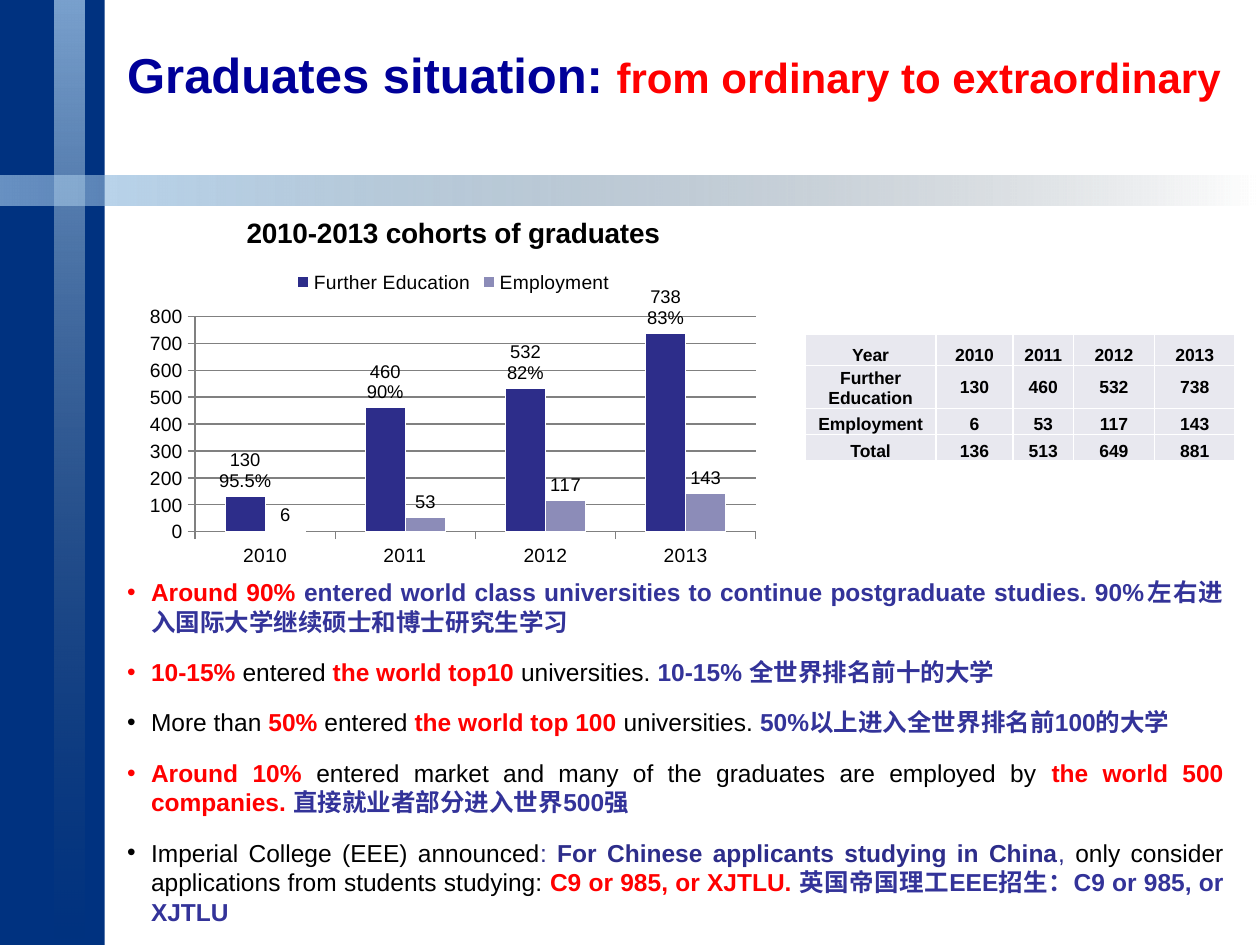
import pptx
import pptx.chart.data
import pptx.dml.color
import pptx.enum.chart
import pptx.enum.shapes
import pptx.enum.text
import pptx.oxml
import pptx.oxml.ns
import pptx.util
from pptx.util import Cm, Pt

RGB = pptx.dml.color.RGBColor
NAVY = RGB(0x00, 0x32, 0x80)
SKY = RGB(0xAE, 0xD1, 0xEF)
SLATE = RGB(0x51, 0x61, 0x6F)
TITLE_BLUE = RGB(0x00, 0x00, 0x99)
RED = RGB(0xFF, 0x00, 0x00)
BLACK = RGB(0x00, 0x00, 0x00)
WHITE = RGB(0xFF, 0xFF, 0xFF)
GREY = RGB(0x80, 0x80, 0x80)
INDIGO = RGB(0x33, 0x33, 0x99)
DEEP_INDIGO = RGB(0x2D, 0x2D, 0x8A)
LAVENDER = RGB(0x8C, 0x8C, 0xB8)
CELL_GREY = RGB(0xE8, 0xE8, 0xEF)

ANCHOR = pptx.enum.text.MSO_ANCHOR
ALIGN = pptx.enum.text.PP_ALIGN
TEXT_FRAME = {"word_wrap": True, "auto_size": pptx.enum.text.MSO_AUTO_SIZE.NONE,
              "vertical_anchor": ANCHOR.TOP}

YEARS = ["2010", "2011", "2012", "2013"]
FURTHER = [130, 460, 532, 738]
EMPLOYED = [6, 53, 117, 143]
SHARES = ["95.5%", "90%", "82%", "83%"]

FINDINGS = [
    [("Around 90% ", RED, True),
     ("entered world class universities to continue postgraduate studies. "
      "90%左右进入国际大学继续硕士和博士研究生学习", INDIGO, True)],
    [("10-15% ", RED, True), ("entered ", BLACK, False),
     ("the world top10 ", RED, True), ("universities. ", BLACK, False),
     ("10-15% 全世界排名前十的大学", INDIGO, True)],
    [("More than ", BLACK, False), ("50% ", RED, True), ("entered ", BLACK, False),
     ("the world top 100 ", RED, True), ("universities. ", BLACK, False),
     ("50%以上进入全世界排名前100的大学", INDIGO, True)],
    [("Around 10% ", RED, True),
     ("entered market and many of the graduates are employed by ", BLACK, False),
     ("the world 500 companies. ", RED, True),
     ("直接就业者部分进入世界500强", INDIGO, True)],
    [("Imperial College (EEE) announced", BLACK, False), (": ", DEEP_INDIGO, False),
     ("For Chinese applicants studying in China", DEEP_INDIGO, True),
     (", ", DEEP_INDIGO, False),
     ("only consider applications from students studying: ", BLACK, False),
     ("C9 or 985, or XJTLU. ", RED, True),
     ("英国帝国理工EEE招生：C9 or 985, or XJTLU", INDIGO, True)],
]


def assign(target, values):
    for name, value in values.items():
        setattr(target, name, value)


def set_font(font, size, color=BLACK, bold=False):
    assign(font, {"name": "Arial", "size": Pt(size), "bold": bold})
    font.color.rgb = color


def place(shape, box):
    assign(shape, dict(zip(("left", "top", "width", "height"), map(Cm, box))))


def add_runs(paragraph, runs):
    for text, size, color, bold in runs:
        run = paragraph.add_run()
        run.text = text
        set_font(run.font, size, color, bold)


def add_block(slide, box, color):
    block = slide.shapes.add_shape(
        pptx.enum.shapes.MSO_SHAPE.RECTANGLE, *map(Cm, box))
    block.shadow.inherit = False
    block.line.fill.background()
    block.fill.solid()
    block.fill.fore_color.rgb = color
    return block


def add_band(slide, box, opacity, rotation=0):
    """Bar that fades out from its top end."""
    band = add_block(slide, box, SKY)
    band.rotation = rotation
    band.fill.gradient()
    band.fill.gradient_angle = 270
    fades = [(SKY, opacity), (SLATE, 0)]
    for stop, position, (color, alpha) in zip(band.fill.gradient_stops, (0, 1), fades):
        stop.position = position
        stop.color.rgb = color
    colors = band.element.spPr.iter(pptx.oxml.ns.qn("a:srgbClr"))
    for color, (_, alpha) in zip(list(colors), fades):
        color.append(pptx.oxml.parse_xml(
            f'<a:alpha {pptx.oxml.ns.nsdecls("a")} val="{alpha * 1000}"/>'))


def add_backdrop(slide, box):
    left, top, width, height = box
    thick = 0.61
    vertical = (left + 1.09, top, thick, height)
    # The horizontal band is an upright bar turned about its centre.
    horizontal = (left + (width - thick) / 2, top + 3.84 - width / 2, thick, width)
    add_band(slide, horizontal, 60, 270)
    add_block(slide, (left, top, 2.11, height), NAVY)
    add_band(slide, vertical, 70)
    add_band(slide, horizontal, 60, 270)


def fill_title(title, box):
    place(title, box)
    assign(title.text_frame, {**TEXT_FRAME, "margin_top": Cm(0.25)})
    paragraph = title.text_frame.paragraphs[0]
    paragraph.alignment = ALIGN.LEFT
    add_runs(paragraph, [("Graduates situation: ", 28, TITLE_BLUE, True),
                         ("from ordinary to extraordinary", 24, RED, True)])


def fill_findings(body, box):
    place(body, box)
    frame = body.text_frame
    assign(frame, TEXT_FRAME)
    for index, runs in enumerate(FINDINGS):
        paragraph = frame.paragraphs[0] if index == 0 else frame.add_paragraph()
        assign(paragraph, {"alignment": ALIGN.JUSTIFY, "space_before": Pt(0),
                           "space_after": Pt(12)})
        properties = paragraph._p.get_or_add_pPr()
        properties.set("marL", str(Cm(0.48)))
        properties.set("indent", str(-Cm(0.48)))
        add_runs(paragraph, [(text, 14, color, bold) for text, color, bold in runs])


def set_plot_layout(chart, **fractions):
    plot_area = chart._chartSpace.chart.plotArea
    for layout in plot_area.findall(pptx.oxml.ns.qn("c:layout")):
        plot_area.remove(layout)
    sizes = "".join(f'<c:{key} val="{value}"/>' for key, value in fractions.items())
    plot_area.insert(0, pptx.oxml.parse_xml(
        f'<c:layout {pptx.oxml.ns.nsdecls("c")}><c:manualLayout>'
        '<c:layoutTarget val="inner"/><c:xMode val="edge"/><c:yMode val="edge"/>'
        f'{sizes}</c:manualLayout></c:layout>'))


def add_cohort_chart(slide, box):
    enums = pptx.enum.chart
    data = pptx.chart.data.CategoryChartData()
    data.categories = YEARS
    data.add_series("Further Education", FURTHER)
    data.add_series("Employment", EMPLOYED)
    chart = slide.shapes.add_chart(
        enums.XL_CHART_TYPE.COLUMN_CLUSTERED, *map(Cm, box), data).chart
    set_font(chart.font, 18)
    chart.has_title = True
    add_runs(chart.chart_title.text_frame.paragraphs[0],
             [("2010-2013 cohorts of graduates", 16, BLACK, True)])
    chart.has_legend = True
    assign(chart.legend, {"position": enums.XL_LEGEND_POSITION.TOP,
                          "include_in_layout": False})
    set_font(chart.legend.font, 11)
    for axis in (chart.category_axis, chart.value_axis):
        axis.major_tick_mark = enums.XL_TICK_MARK.OUTSIDE
        axis.format.line.color.rgb = GREY
        set_font(axis.tick_labels.font, 11)
    assign(chart.value_axis, {"minimum_scale": 0, "maximum_scale": 800, "major_unit": 100})
    chart.value_axis.major_gridlines.format.line.color.rgb = GREY
    plot = chart.plots[0]
    assign(plot, {"gap_width": 150, "overlap": 0, "vary_by_categories": False})
    outside = enums.XL_LABEL_POSITION.OUTSIDE_END
    for series, color in zip(plot.series, (DEEP_INDIGO, LAVENDER)):
        series.format.fill.solid()
        series.format.fill.fore_color.rgb = color
        series.format.line.color.rgb = WHITE
        assign(series.data_labels, {"show_value": True, "position": outside})
        set_font(series.data_labels.font, 10.5)
    for index, (count, share) in enumerate(zip(FURTHER, SHARES)):
        label = plot.series[0].points[index].data_label
        label.text_frame.text = f"{count}\n{share}"
        label.position = outside
        for paragraph in label.text_frame.paragraphs:
            set_font(paragraph.runs[0].font, 10.5)
    set_plot_layout(chart, x=0.09, y=0.32, w=0.89, h=0.57)


def add_cell_borders(cell):
    properties = cell._tc.get_or_add_tcPr()
    for side in ("lnL", "lnR", "lnT", "lnB"):
        properties.append(pptx.oxml.parse_xml(
            f'<a:{side} {pptx.oxml.ns.nsdecls("a")} w="{Pt(1)}"><a:solidFill>'
            f'<a:srgbClr val="{WHITE}"/></a:solidFill></a:{side}>'))


def add_cohort_table(slide, box):
    totals = [sum(pair) for pair in zip(FURTHER, EMPLOYED)]
    rows = [["Year", *YEARS], ["Further Education", *FURTHER],
            ["Employment", *EMPLOYED], ["Total", *totals]]
    table = slide.shapes.add_table(len(rows), len(rows[0]), *map(Cm, box)).table
    for column, width in zip(table.columns, (2.64, 1.55, 1.22, 1.63, 1.63)):
        column.width = Cm(width)
    for row, height in zip(table.rows, (0.64, 0.86, 0.53, 0.53)):
        row.height = Cm(height)
    for r, values in enumerate(rows):
        for c, value in enumerate(values):
            cell = table.cell(r, c)
            add_cell_borders(cell)
            cell.fill.solid()
            cell.fill.fore_color.rgb = CELL_GREY
            centred = r == 1 and c > 0
            assign(cell, {"margin_left": Cm(0.03), "margin_right": Cm(0.03),
                          "margin_top": Cm(0.03), "margin_bottom": 0,
                          "vertical_anchor": ANCHOR.MIDDLE if centred else ANCHOR.BOTTOM})
            paragraph = cell.text_frame.paragraphs[0]
            paragraph.alignment = ALIGN.CENTER
            add_runs(paragraph, [(str(value), 10, BLACK, True)])


def main():
    deck = pptx.Presentation()
    assign(deck, {"slide_width": Cm(25.4), "slide_height": Cm(19.05)})
    slide = deck.slides.add_slide(deck.slide_layouts[1])
    title, body = slide.placeholders
    add_backdrop(slide, (0, 0, 25.4, 19.05))
    fill_title(title, (2.31, 0.64, 22.61, 2.24))
    add_cohort_chart(slide, (2.79, 3.94, 12.7, 7.62))
    add_cohort_table(slide, (16.23, 6.73, 8.67, 2.56))
    add_block(slide, (15.49, 16.41, 8.99, 2.64), WHITE)
    fill_findings(body, (2.31, 11.51, 22.61, 7.34))
    for placeholder in (title, body):  # bring the text to the front
        placeholder.element.getparent().append(placeholder.element)
    deck.save("out.pptx")


if __name__ == "__main__":
    main()
